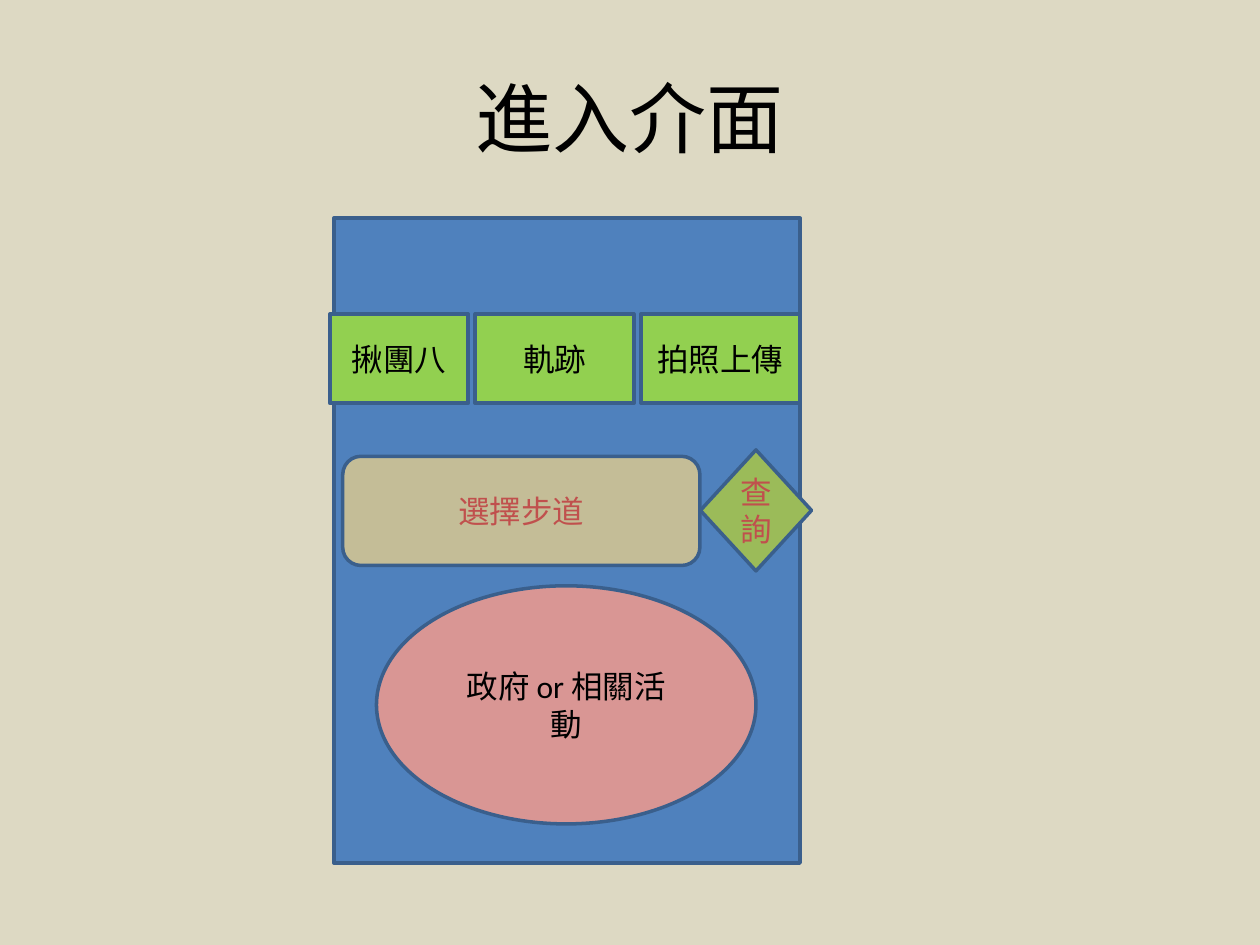
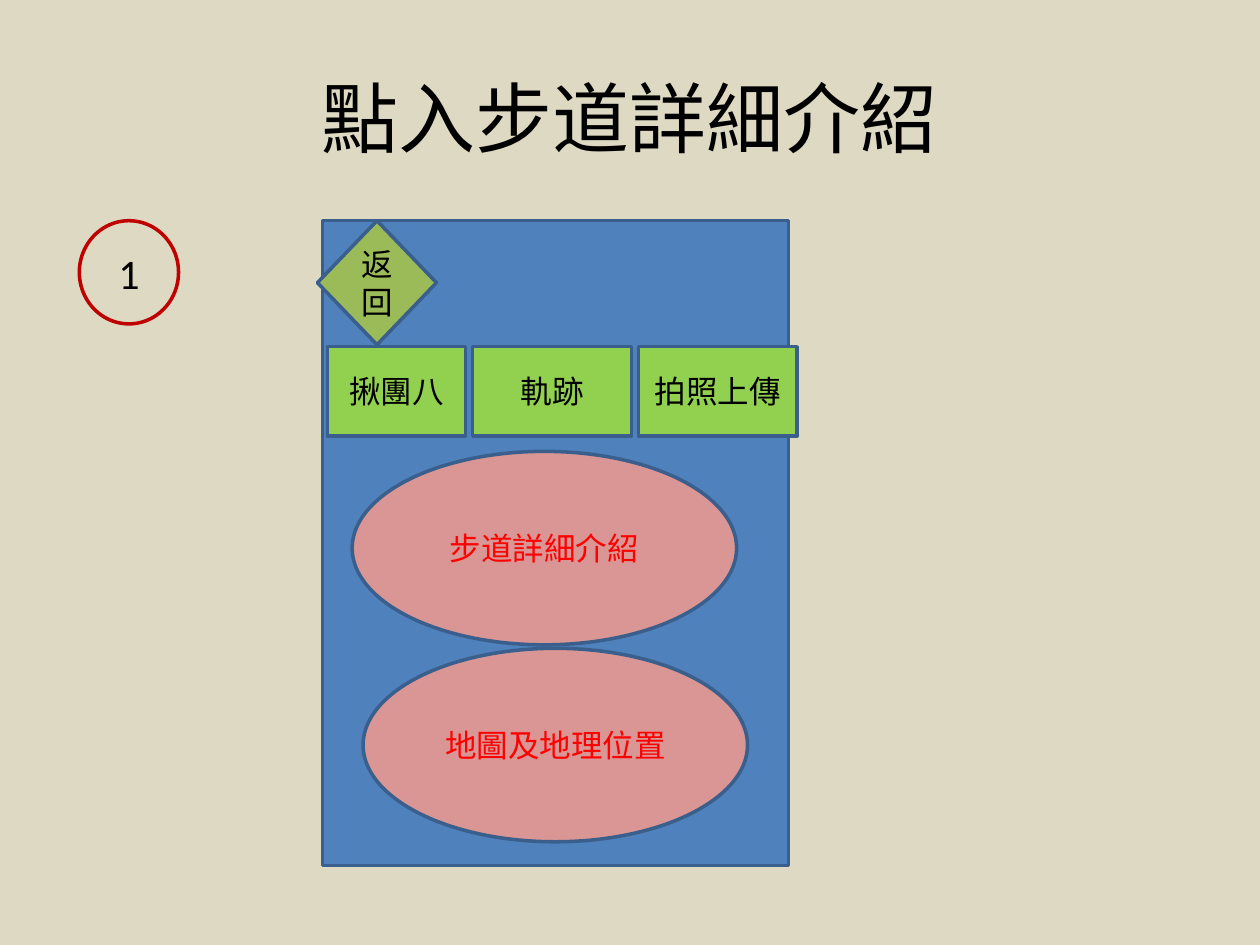
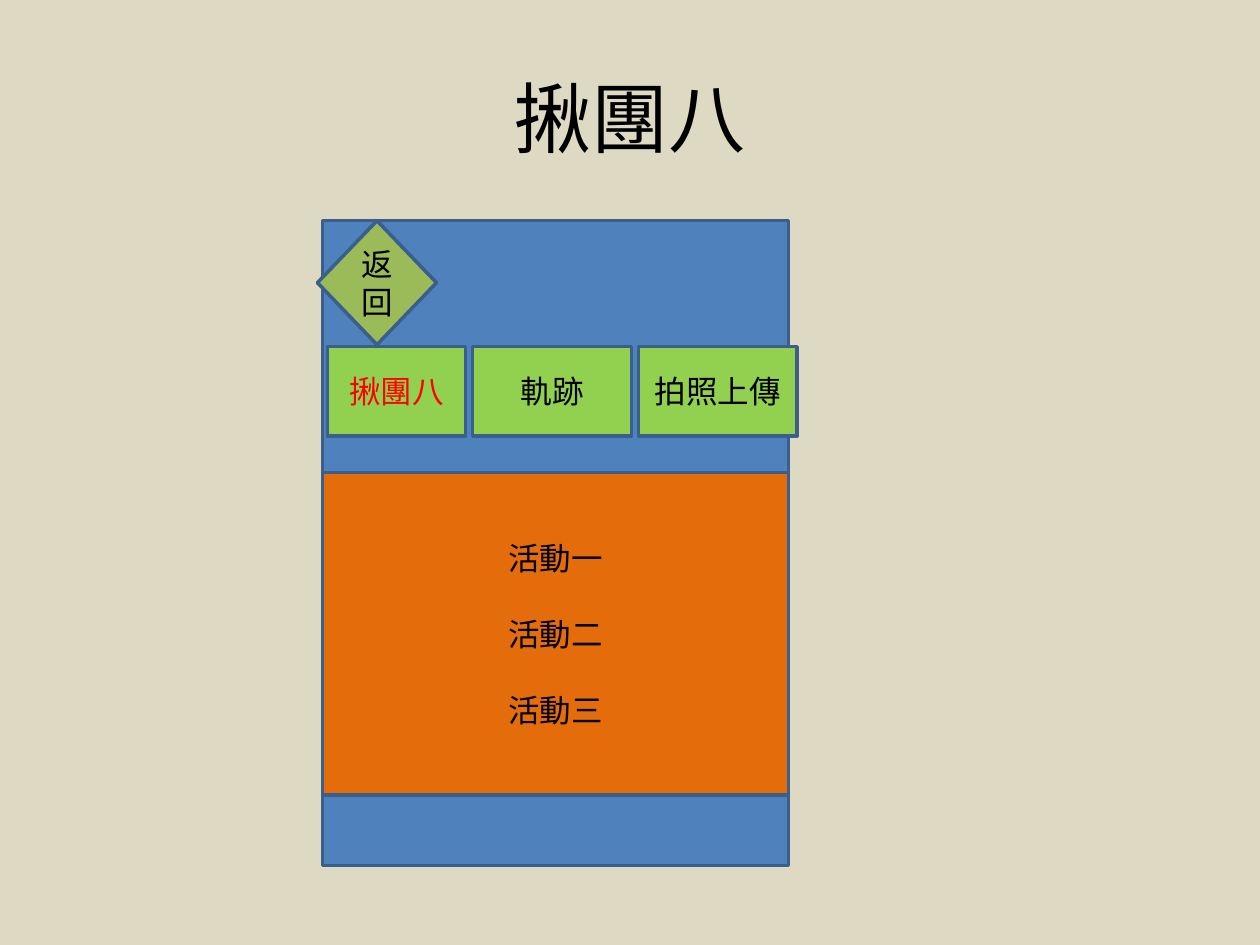
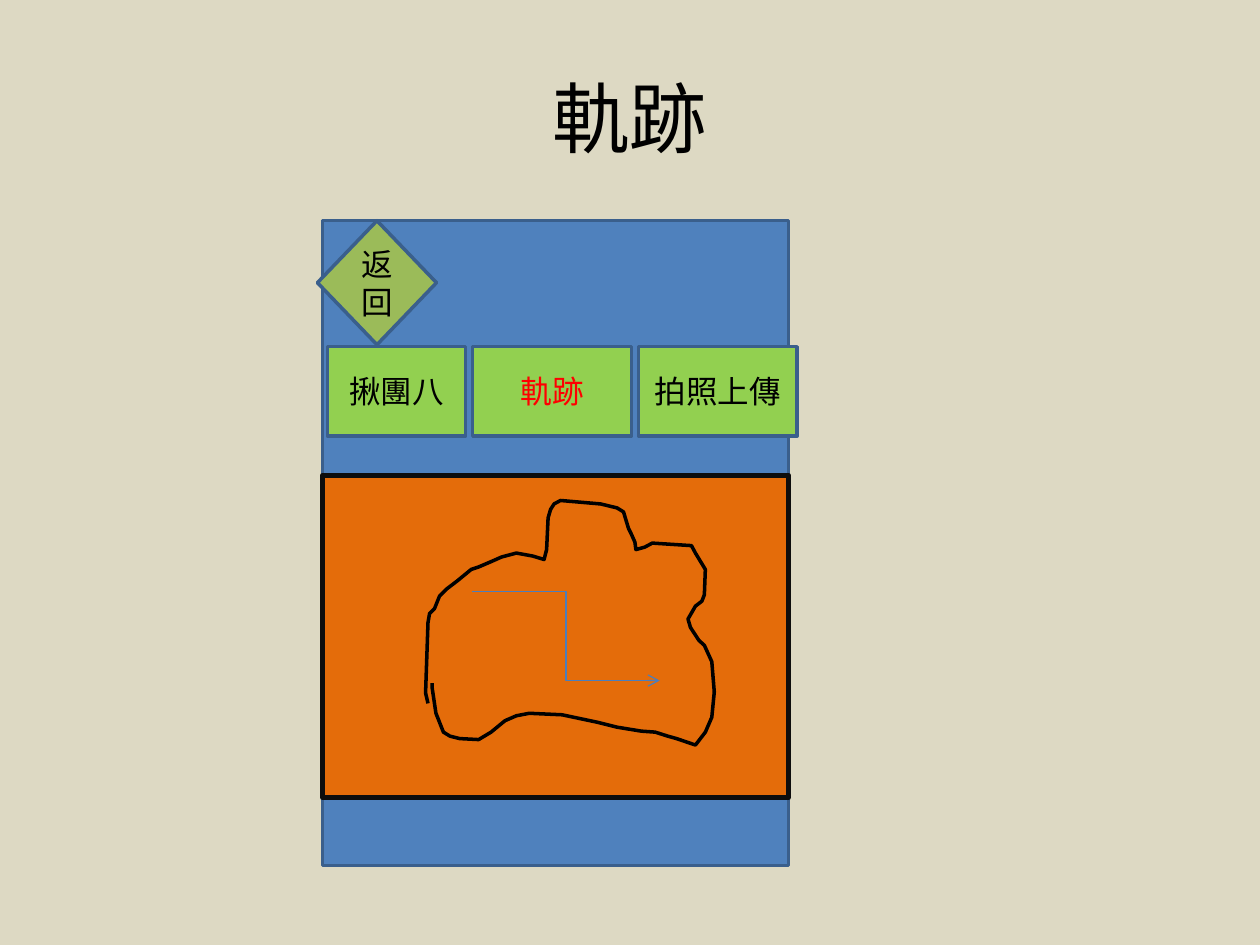
from collections import namedtuple

from lxml.etree import SubElement
from pptx import Presentation
from pptx.dml.color import RGBColor
from pptx.enum.shapes import MSO_CONNECTOR, MSO_SHAPE
from pptx.enum.text import MSO_ANCHOR, PP_ALIGN
from pptx.oxml.ns import qn
from pptx.util import Cm, Pt

# Colours
SAND = RGBColor(0xDD, 0xD9, 0xC3)
BLUE = RGBColor(0x4F, 0x81, 0xBD)
EDGE = RGBColor(0x3A, 0x5F, 0x8C)
ARROW = RGBColor(0x4B, 0x7E, 0xBC)
LIME = RGBColor(0x92, 0xD0, 0x50)
OLIVE = RGBColor(0x9B, 0xBB, 0x59)
TAN = RGBColor(0xC4, 0xBD, 0x97)
PINK = RGBColor(0xD9, 0x96, 0x94)
ORANGE = RGBColor(0xE4, 0x6C, 0x0A)
BRICK = RGBColor(0xC0, 0x50, 0x4D)
RED = RGBColor(0xFF, 0x00, 0x00)
DARK_RED = RGBColor(0xC0, 0x00, 0x00)
BLACK = RGBColor(0x00, 0x00, 0x00)
INK = RGBColor(0x0D, 0x0D, 0x0D)

FONT = "Calibri"
TITLE_ONLY = 5

# Boxes and all layout numbers are in centimetres
Box = namedtuple("Box", "x y w h")
HOME_PHONE = Box(6.73, 4.4, 9.4, 13)
PHONE = Box(6.5, 4.45, 9.4, 13)

TABS = [("揪團八", 2.79), ("軌跡", 3.2), ("拍照上傳", 3.2)]
TAB_H, TAB_GAP = 1.8, 0.14

# Walking track, measured from the corner of the map panel
TRACK = [
    (2.13, 4.6), (2.08, 4.39), (2.13, 2.97), (2.16, 2.79), (2.26, 2.69),
    (2.36, 2.44), (2.51, 2.29), (2.72, 2.13), (3, 1.9), (3.15, 1.85),
    (3.43, 1.73), (3.61, 1.65), (3.91, 1.57), (4.24, 1.63), (4.47, 1.7),
    (4.52, 1.5), (4.55, 0.86), (4.6, 0.69), (4.67, 0.58), (4.8, 0.51),
    (5.61, 0.58), (5.94, 0.66), (6.07, 0.74), (6.17, 1.07), (6.22, 1.17),
    (6.3, 1.35), (6.32, 1.5), (6.5, 1.45), (6.65, 1.37), (7.44, 1.42),
    (7.52, 1.57), (7.72, 1.9), (7.7, 2.41), (7.65, 2.54), (7.52, 2.64),
    (7.37, 2.9), (7.42, 3.07), (7.59, 3.33), (7.7, 3.43), (7.85, 3.76),
    (7.9, 4.37), (7.85, 4.88), (7.72, 5.18), (7.52, 5.44), (7.14, 5.31),
    (6.96, 5.26), (6.71, 5.18), (6.43, 5.16), (5.94, 5.08), (5.54, 4.98),
    (4.83, 4.83), (4.17, 4.8), (3.91, 4.85), (3.68, 4.95), (3.4, 5.18),
    (3.15, 5.33), (2.77, 5.31), (2.57, 5.26), (2.44, 5.18), (2.29, 4.8),
    (2.21, 4.27), (2.21, 4.19),
]


def inside(box, x, y, w, h):
    """Box of the given size, offset from the corner of another box."""
    return Box(box.x + x, box.y + y, w, h)


def set_format(target, values):
    for name, value in values.items():
        setattr(target, name, value)


def set_font(font, color, size):
    set_format(font, {"name": FONT, "size": Pt(size)})
    font.color.rgb = color


def set_line(line, color, width):
    line.color.rgb = color
    line.width = Pt(width)


def add_box(s, kind, box, fill=None, lines=(), color=BLACK, size=18,
            edge=EDGE, width=2, gap=0, inset=0.25):
    """Outlined shape with one centred paragraph for each line of text."""
    sp = s.shapes.add_shape(kind, *map(Cm, box))
    sp.shadow.inherit = False
    if fill is None:
        sp.fill.background()
    else:
        sp.fill.solid()
        sp.fill.fore_color.rgb = fill
    set_line(sp.line, edge, width)
    tf = sp.text_frame
    set_format(tf, {"word_wrap": True, "vertical_anchor": MSO_ANCHOR.MIDDLE,
                    "margin_left": Cm(inset), "margin_right": Cm(inset)})
    for i, text in enumerate(lines):
        p = tf.add_paragraph() if i else tf.paragraphs[0]
        set_format(p, {"alignment": PP_ALIGN.CENTER,
                       "space_before": Pt(gap if i else 0)})
        r = p.add_run()
        r.text = text
        set_font(r.font, color, size)
    return sp


def add_page(prs, title):
    s = prs.slides.add_slide(prs.slide_layouts[TITLE_ONLY])
    sp = s.shapes.title
    set_format(sp, {"left": Cm(1.27), "top": Cm(0.76),
                    "width": Cm(22.86), "height": Cm(3.18)})
    sp.text_frame.vertical_anchor = MSO_ANCHOR.MIDDLE
    p = sp.text_frame.paragraphs[0]
    p.alignment = PP_ALIGN.CENTER
    r = p.add_run()
    r.text = title
    set_font(r.font, BLACK, 44)
    return s


def add_tabs(s, phone, x, y, active=None):
    """Row of menu buttons; the active one has red text."""
    for label, w in TABS:
        add_box(s, MSO_SHAPE.RECTANGLE, inside(phone, x, y, w, TAB_H), LIME,
                [label], RED if label == active else BLACK)
        x += w + TAB_GAP


def add_inner_phone(s, phone, active=None):
    """Phone screen with the back button and the menu."""
    add_box(s, MSO_SHAPE.RECTANGLE, phone, BLUE)
    add_box(s, MSO_SHAPE.DIAMOND, inside(phone, -0.1, 0, 2.4, 2.5), OLIVE,
            ["返回"])
    add_tabs(s, phone, 0.1, 2.54, active)


def add_home_phone(s, phone):
    add_box(s, MSO_SHAPE.RECTANGLE, phone, BLUE)
    add_box(s, MSO_SHAPE.ROUNDED_RECTANGLE,
            inside(phone, 0.18, 4.8, 7.2, 2.2), TAN, ["選擇步道"], BRICK)
    add_box(s, MSO_SHAPE.OVAL, inside(phone, 0.86, 7.41, 7.65, 4.8), PINK,
            ["政府 or 相關活動"], inset=0.5)
    add_box(s, MSO_SHAPE.DIAMOND, inside(phone, 7.39, 4.67, 2.24, 2.44),
            OLIVE, ["查詢"], BRICK)
    add_tabs(s, phone, -0.08, 1.93)


def add_trail_details(s, phone):
    for label, x, y in [("步道詳細介紹", 0.6, 4.65),
                        ("地圖及地理位置", 0.82, 8.62)]:
        add_box(s, MSO_SHAPE.OVAL, inside(phone, x, y, 7.75, 3.9), PINK,
                [label], RED)


def add_track_map(s, panel):
    add_box(s, MSO_SHAPE.RECTANGLE, panel, ORANGE, edge=INK, width=2.75)

    # Hand-drawn track
    points = [(Cm(panel.x + x), Cm(panel.y + y)) for x, y in TRACK]
    builder = s.shapes.build_freeform(*points[0])
    builder.add_line_segments(points[1:], close=False)
    sp = builder.convert_to_shape()
    sp.shadow.inherit = False
    sp.fill.background()
    set_line(sp.line, BLACK, 2)

    # Elbow arrow
    start = inside(panel, 3.02, 2.34, 3.78, 1.8)
    cxn = s.shapes.add_connector(
        MSO_CONNECTOR.ELBOW, Cm(start.x), Cm(start.y),
        Cm(start.x + start.w), Cm(start.y + start.h))
    set_line(cxn.line, ARROW, 0.75)
    SubElement(cxn.line._get_or_add_ln(), qn("a:tailEnd"), type="arrow")
    SubElement(cxn._element.spPr, qn("a:effectLst"))


def main():
    prs = Presentation()
    set_format(prs, {"slide_width": Cm(25.4), "slide_height": Cm(19.05)})
    fill = prs.slide_master.background.fill
    fill.solid()
    fill.fore_color.rgb = SAND

    # Entry screen
    add_home_phone(add_page(prs, "進入介面"), HOME_PHONE)

    # Trail details
    s = add_page(prs, "點入步道詳細介紹")
    add_inner_phone(s, PHONE)
    add_trail_details(s, PHONE)
    add_box(s, MSO_SHAPE.OVAL, Box(1.6, 4.45, 2, 2.08), None, ["1"],
            size=24, edge=DARK_RED)

    # Group activities
    s = add_page(prs, "揪團八")
    add_inner_phone(s, PHONE, "揪團八")
    add_box(s, MSO_SHAPE.RECTANGLE, inside(PHONE, 0, 5.08, PHONE.w, 6.5),
            ORANGE, ["活動一", "活動二", "活動三"], gap=21.6)

    # Track
    s = add_page(prs, "軌跡")
    add_inner_phone(s, PHONE, "軌跡")
    add_track_map(s, inside(PHONE, 0, 5.13, PHONE.w, 6.5))

    prs.save("out.pptx")


if __name__ == "__main__":
    main()
